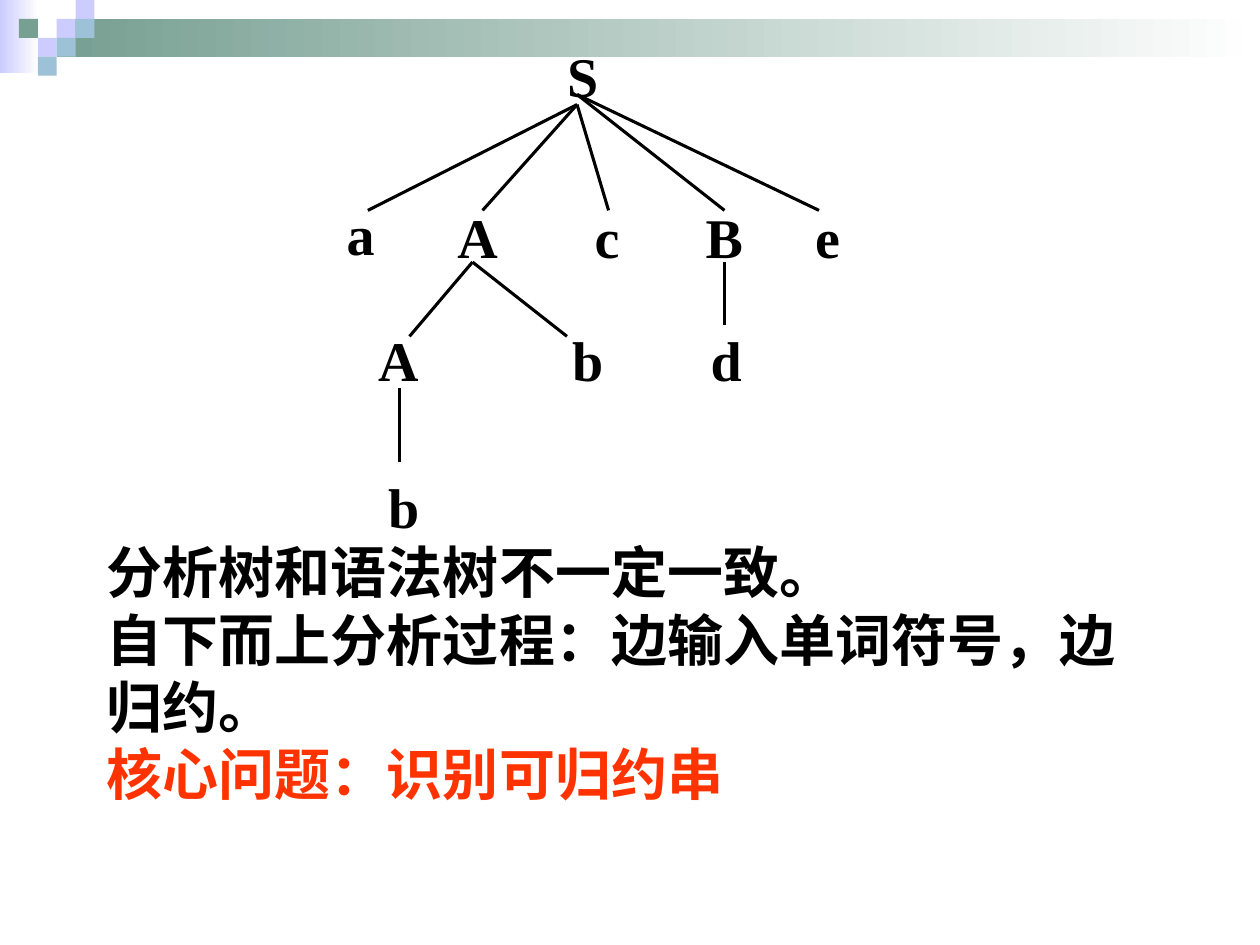
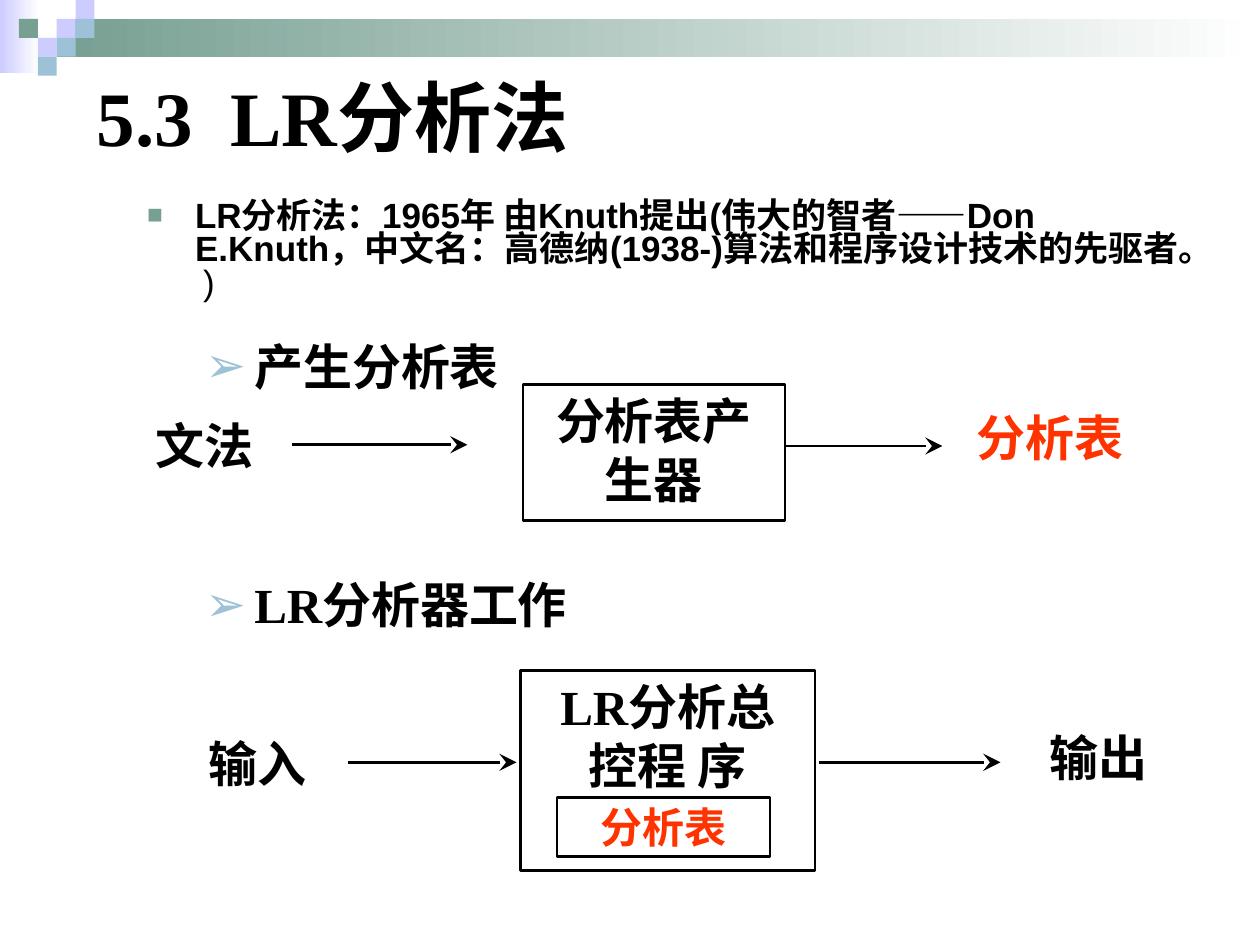
from dataclasses import dataclass

import pptx
import pptx.dml.color
import pptx.enum.shapes
import pptx.enum.text
import pptx.oxml
import pptx.oxml.ns
import pptx.util
from lxml import etree

Inches = pptx.util.Inches
Pt = pptx.util.Pt
ALIGN = pptx.enum.text.PP_ALIGN
ANCHOR = pptx.enum.text.MSO_ANCHOR
qn = pptx.oxml.ns.qn


@dataclass(frozen=True)
class Theme:
    ink: str = "000000"
    accent: str = "FF3300"
    paper: str = "FFFFFF"
    green: str = "779F92"
    lilac: str = "CCCCFF"
    blue: str = "9DC2D7"
    serif: str = "Times New Roman"
    sans: str = "Arial"
    chinese: str = "Noto Sans CJK SC"
    title: int = 44
    large: int = 32
    medium: int = 28
    small: int = 24
    body: int = 20
    tree_line: float = 1.75
    flow_line: float = 1.5


THEME = Theme()


def rgb(value):
    return pptx.dml.color.RGBColor.from_string(value)


def write_text(frame, text, size=THEME.medium, color=THEME.ink, font=THEME.serif,
               bold=True, align=ALIGN.LEFT, spacing=None, bullet=None,
               tab=None, new_paragraph=False):
    """Add text to the last paragraph, or to a new one; a newline breaks the line."""
    paragraph = frame.add_paragraph() if new_paragraph else frame.paragraphs[-1]
    paragraph.alignment = align
    if spacing:
        paragraph.line_spacing = spacing
    properties = paragraph._p.get_or_add_pPr()
    if bullet:
        symbol, bullet_color, percent, hang = bullet
        properties.set("marL", str(Inches(hang)))
        properties.set("indent", str(-Inches(hang)))
        color_element = etree.SubElement(properties, qn("a:buClr"))
        etree.SubElement(color_element, qn("a:srgbClr"), val=bullet_color)
        etree.SubElement(properties, qn("a:buSzPct"), val=str(percent * 1000))
        etree.SubElement(properties, qn("a:buFont"), typeface=THEME.sans)
        etree.SubElement(properties, qn("a:buChar"), char=symbol)
    if tab:
        stops = etree.SubElement(properties, qn("a:tabLst"))
        etree.SubElement(stops, qn("a:tab"), pos=str(Inches(tab)), algn="l")
    for index, line in enumerate(text.split("\n")):
        if index:
            paragraph.add_line_break()
        run = paragraph.add_run()
        run.text = line
        run.font.size = Pt(size)
        run.font.bold = bold
        run.font.color.rgb = rgb(color)
        run.font.name = font
        etree.SubElement(run._r.get_or_add_rPr(), qn("a:ea"), typeface=THEME.chinese)


class Deck:
    """Holds the theme and the slide being filled."""

    def __init__(self, theme):
        self.theme = theme
        self.presentation = pptx.Presentation()
        self.presentation.slide_width = Inches(10)
        self.presentation.slide_height = Inches(7.5)
        self.slide = None

    def new_slide(self):
        self.slide = self.presentation.slides.add_slide(self.presentation.slide_layouts[6])
        self.slide.background.fill.solid()
        self.slide.background.fill.fore_color.rgb = rgb(self.theme.paper)
        self.header()

    def header(self):
        """Gradient bands with a staircase of small squares."""
        t = self.theme
        self.band(0, 0, 0.31, 0.58, t.lilac)
        self.band(0.45, 0.15, 9.55, 0.3, t.green)
        step = 0.15
        for column, row, color in [(3, 1, t.lilac), (4, 0, t.lilac), (4, 1, t.blue),
                                   (2, 2, t.lilac), (1, 1, t.green), (3, 2, t.blue),
                                   (2, 3, t.blue)]:
            self.rectangle(column * step, row * step, step, step, fill=color)

    def rectangle(self, left, top, width, height, fill=None, line=None):
        shape = self.slide.shapes.add_shape(
            pptx.enum.shapes.MSO_SHAPE.RECTANGLE,
            Inches(left), Inches(top), Inches(width), Inches(height))
        shape.shadow.inherit = False
        if fill:
            shape.fill.solid()
            shape.fill.fore_color.rgb = rgb(fill)
        else:
            shape.fill.background()
        if line:
            shape.line.color.rgb = rgb(self.theme.ink)
            shape.line.width = Pt(line)
        else:
            shape.line.fill.background()
        return shape

    def band(self, left, top, width, height, color):
        fill = self.rectangle(left, top, width, height).fill
        fill.gradient()
        fill.gradient_angle = 180
        for stop, stop_color, position in zip(fill.gradient_stops,
                                              (self.theme.paper, color), (0, 1)):
            stop.color.rgb = rgb(stop_color)
            stop.position = position

    def box(self, left, top, width, height, text, anchor=ANCHOR.TOP, **style):
        """Outlined box with centred text."""
        frame = self.rectangle(left, top, width, height,
                               line=self.theme.flow_line).text_frame
        frame.word_wrap = True
        frame.vertical_anchor = anchor
        write_text(frame, text, align=ALIGN.CENTER, **style)

    def text(self, left, top, width, height, text="", wrap=True,
             anchor=ANCHOR.TOP, inset=True, **style):
        frame = self.slide.shapes.add_textbox(
            Inches(left), Inches(top), Inches(width), Inches(height)).text_frame
        frame.word_wrap = wrap
        frame.vertical_anchor = anchor
        if not inset:
            frame.margin_left = frame.margin_right = 0
            frame.margin_top = frame.margin_bottom = 0
        if text:
            write_text(frame, text, **style)
        return frame

    def line(self, start, end, width, arrow=False):
        connector = self.slide.shapes.add_connector(
            pptx.enum.shapes.MSO_CONNECTOR.STRAIGHT,
            *(Inches(value) for value in (*start, *end)))
        connector.line.color.rgb = rgb(self.theme.ink)
        connector.line.width = Pt(width)
        if arrow:
            etree.SubElement(connector.line._get_or_add_ln(), qn("a:tailEnd"),
                             type="stealth", w="lg", len="lg")
        etree.SubElement(connector._element.spPr, qn("a:effectLst"))


def build_parse_tree(deck):
    t = deck.theme
    deck.new_slide()

    # Tree nodes
    for symbol, left, top, width in [
            ("S", 4.5, 0.33, 0.25),
            ("a", 2.75, 1.58, 0.22), ("A", 3.63, 1.61, 0.32), ("c", 4.72, 1.61, 0.2),
            ("B", 5.6, 1.61, 0.3), ("e", 6.47, 1.61, 0.2),
            ("A", 3, 2.58, 0.32), ("b", 4.54, 2.58, 0.25), ("d", 5.64, 2.58, 0.25),
            ("b", 3.08, 3.75, 0.25)]:
        deck.text(left, top, width, 0.53, symbol, wrap=False, inset=False, size=t.large)

    # Branches: each parent point with the points of its children
    for parent, children in [
            ((4.58, 0.83), [(2.92, 1.67), (3.83, 1.67), (4.83, 1.67)]),
            ((4.58, 0.75), [(5.75, 1.67), (6.5, 1.67)]),
            ((3.75, 2.08), [(3.25, 2.67), (4.5, 2.67)]),
            ((5.75, 2.08), [(5.75, 2.58)]),
            ((3.17, 3.08), [(3.17, 3.67)])]:
        for child in children:
            deck.line(parent, child, t.tree_line)

    # Conclusions
    conclusions = deck.text(0.75, 4.22, 8.5, 2.42)
    for index, (sentence, color) in enumerate([
            ("分析树和语法树不一定一致。", t.ink),
            ("自下而上分析过程：边输入单词符号，边归约。", t.ink),
            ("核心问题：识别可归约串", t.accent)]):
        write_text(conclusions, sentence, size=t.large, color=color,
                   font=t.chinese, new_paragraph=index > 0)


def build_lr_method(deck):
    t = deck.theme
    deck.new_slide()

    # Title and introduction
    deck.text(0.67, 0.5, 9.17, 0.83, "5.3\tLR分析法", anchor=ANCHOR.MIDDLE,
              size=t.title, tab=1.06)
    introduction = deck.text(
        1.07, 1.55, 8.42, 1,
        "LR分析法：1965年 由Knuth提出(伟大的智者——Don E.Knuth，"
        "中文名：高德纳(1938-)算法和程序设计技术的先驱者。 ",
        size=t.body, font=t.sans, spacing=0.8, bullet=("■", t.green, 75, 0.38))
    write_text(introduction, ")", size=t.body, font=t.sans, bold=False, spacing=0.8)

    # Step headings, wide enough for one line each
    for top, width, heading in [(2.57, 2.9, "产生分析表"), (4.46, 3.6, "LR分析器工作")]:
        deck.text(1.53, top, width, 0.67, heading, anchor=ANCHOR.MIDDLE,
                  bullet=("➢", t.blue, 100, 0.39))

    # Processing boxes, with the table held inside the controller
    deck.box(4.15, 3.05, 2.08, 1.08, "分析表产生器")
    deck.box(4.13, 5.32, 2.34, 1.59, "LR分析总\n控程 序")
    deck.box(4.42, 6.33, 1.69, 0.47, "分析表", anchor=ANCHOR.MIDDLE,
             size=t.small, color=t.accent)

    # Inputs and outputs
    for left, top, width, height, label, color in [
            (0.83, 3.2, 1.59, 0.67, "文法", t.ink),
            (7.57, 3.13, 1.52, 0.67, "分析表", t.accent),
            (1.22, 5.72, 1.65, 0.67, "输入", t.ink),
            (7.94, 5.72, 1.55, 0.58, "输出", t.ink)]:
        deck.text(left, top, width, height, label, wrap=False, anchor=ANCHOR.MIDDLE,
                  align=ALIGN.CENTER, color=color)

    # Flow arrows
    for start, end, y in [(2.32, 3.71, 3.53), (6.24, 7.48, 3.54),
                          (2.76, 4.1, 6.05), (6.5, 7.94, 6.05)]:
        deck.line((start, y), (end, y), t.flow_line, arrow=True)


def main():
    deck = Deck(THEME)
    build_parse_tree(deck)
    build_lr_method(deck)
    deck.presentation.save("out.pptx")


if __name__ == "__main__":
    main()
